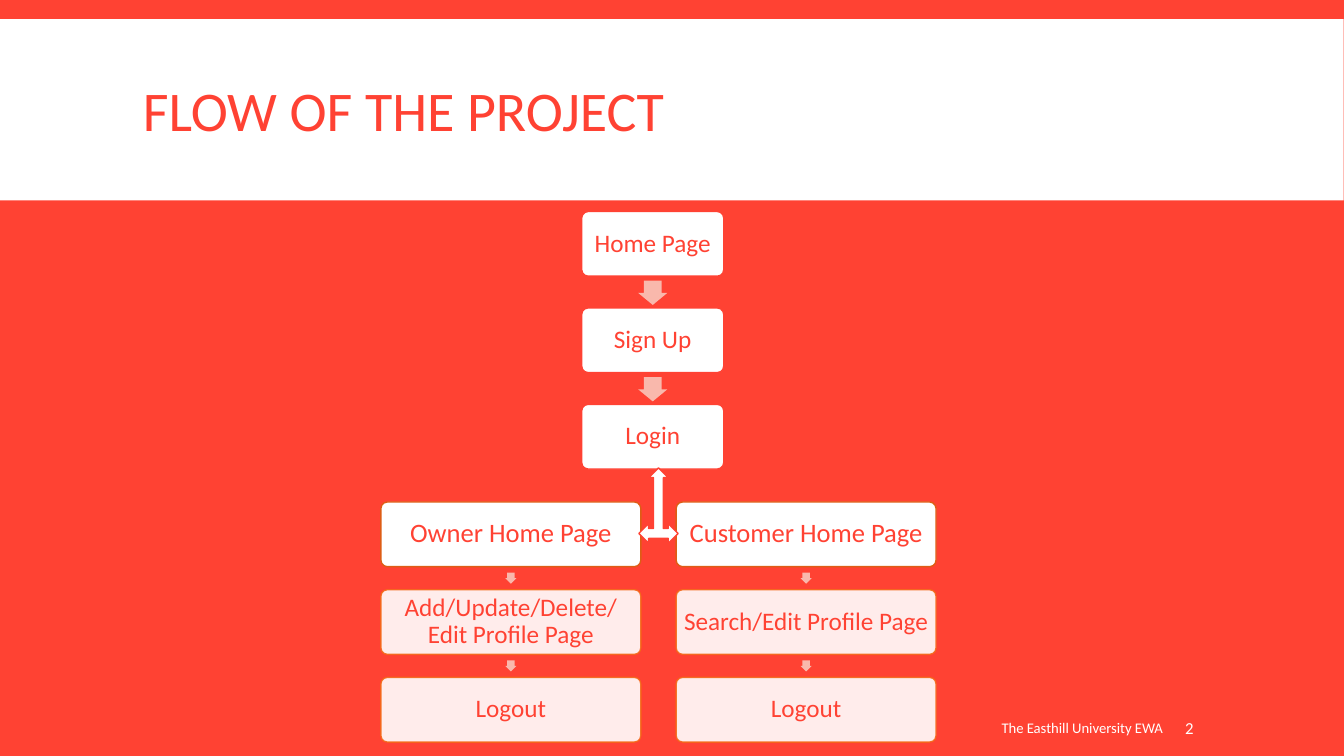
"""Build the project flow slide: three shared steps that split into an owner and a customer branch."""
from lxml.etree import SubElement
from pptx import Presentation
from pptx.dml.color import RGBColor
from pptx.enum.shapes import MSO_SHAPE as Shape
from pptx.enum.text import MSO_ANCHOR as Anchor, PP_ALIGN as Align
from pptx.oxml.ns import qn
from pptx.util import Cm, Pt

COLORS = {
    "red": "FF4233",
    "white": "FFFFFF",
    "arrow": "F9B8AC",
    "branch_edge": "DE5D15",
    "step_edge": "F56617",
}


def add_block(kind, left, top, width, height, fill, edge=None, opacity=100):
    block = page.shapes.add_shape(kind, Cm(left), Cm(top), Cm(width), Cm(height))
    block.shadow.inherit = False
    block.fill.solid()
    block.fill.fore_color.rgb = RGBColor.from_string(COLORS[fill])
    if edge:
        block.line.color.rgb = RGBColor.from_string(COLORS[edge])
        block.line.width = Pt(1)
    else:
        block.line.fill.background()
    if opacity < 100:
        for color in block.element.spPr.iter(qn("a:srgbClr")):
            SubElement(color, qn("a:alpha"), val=str(opacity * 1000))
    return block


def write_text(shape, text, size, color, align, inset, spacing=1.0):
    frame = shape.text_frame
    layout = {"word_wrap": True, "vertical_anchor": Anchor.MIDDLE,
              "margin_left": Cm(inset), "margin_right": Cm(inset),
              "margin_top": Cm(0.13), "margin_bottom": Cm(0.13)}
    for name, value in layout.items():
        setattr(frame, name, value)
    para = frame.paragraphs[0]
    para.alignment = align
    para.line_spacing = spacing
    span = para.add_run()
    span.text = text
    for name, value in {"name": "Calibri", "size": Pt(size)}.items():
        setattr(span.font, name, value)
    span.font.color.rgb = RGBColor.from_string(COLORS[color])


deck = Presentation()
deck.slide_width, deck.slide_height = Cm(33.87), Cm(19.05)
page = deck.slides.add_slide(deck.slide_layouts[6])
page.background.fill.solid()
page.background.fill.fore_color.rgb = RGBColor.from_string(COLORS["red"])

add_block(Shape.RECTANGLE, 0, 0.48, 33.86, 4.57, "white")

labels = [
    ("FLOW OF THE PROJECT", 3.35, 0.79, 27.18, 4.19, 40, "red", Align.LEFT, 0.85),
    ("The Easthill University EWA", 15.54, 17.83, 14.02, 1.02, 10.5, "white", Align.RIGHT, 1.0),
    ("2", 29.74, 17.83, 2.62, 1.02, 12, "white", Align.LEFT, 1.0),
]
for text, left, top, width, height, size, color, align, spacing in labels:
    label = page.shapes.add_textbox(Cm(left), Cm(top), Cm(width), Cm(height))
    inset = 0.13 if text == "2" else 0.25
    write_text(label, text, size, color, align, inset, spacing)

shared = {"width": 3.58, "pitch": 2.43, "inset": 0.23, "gap": 0.42,
          "arrow": (0.61, 0.74), "stem": 0.6}
branch = {"width": 6.55, "pitch": 2.21, "inset": 0.13, "gap": 0.29,
          "arrow": (0.28, 0.28), "stem": 0.667}
flows = [
    (14.66, 5.33, shared, ["Home Page", "Sign Up", "Login"]),
    (9.6, 12.65, branch,
     ["Owner Home Page", "Add/Update/Delete/ Edit Profile Page", "Logout"]),
    (17.04, 12.65, branch,
     ["Customer Home Page", "Search/Edit Profile Page", "Logout"]),
]
box_height = 1.63
for left, first_top, style, steps in flows:
    for row, step in enumerate(steps):
        top = first_top + row * style["pitch"]
        edge, opacity, size = "red", 100, 18
        if style is branch:
            edge, opacity, size = ("step_edge", 90, 18) if row else ("branch_edge", 100, 19)
        box = add_block(Shape.ROUNDED_RECTANGLE, left, top, style["width"], box_height,
                        "white", edge, opacity)
        box.adjustments[0] = 0.1
        write_text(box, step, size, "red", Align.CENTER, style["inset"], 0.9)
        if row < len(steps) - 1:
            length, breadth = style["arrow"]
            arrow = add_block(Shape.RIGHT_ARROW, left + (style["width"] - length) / 2,
                              top + box_height + style["gap"] - breadth / 2,
                              length, breadth, "arrow")
            arrow.rotation = 90
            arrow.adjustments[0] = style["stem"]

add_block(Shape.LEFT_RIGHT_UP_ARROW, 16.1, 11.79, 0.99, 1.9, "white", "red")

deck.save("out.pptx")
